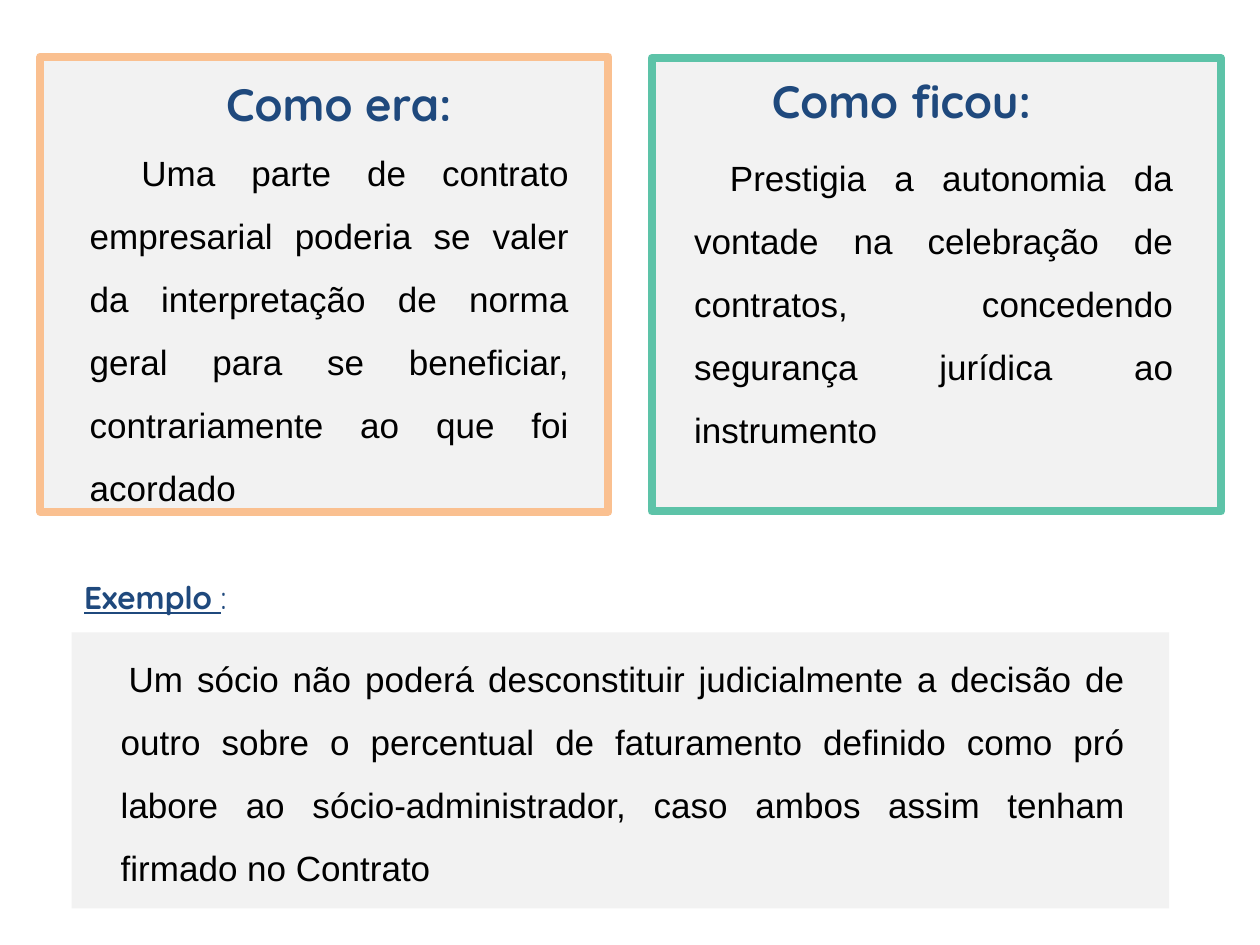
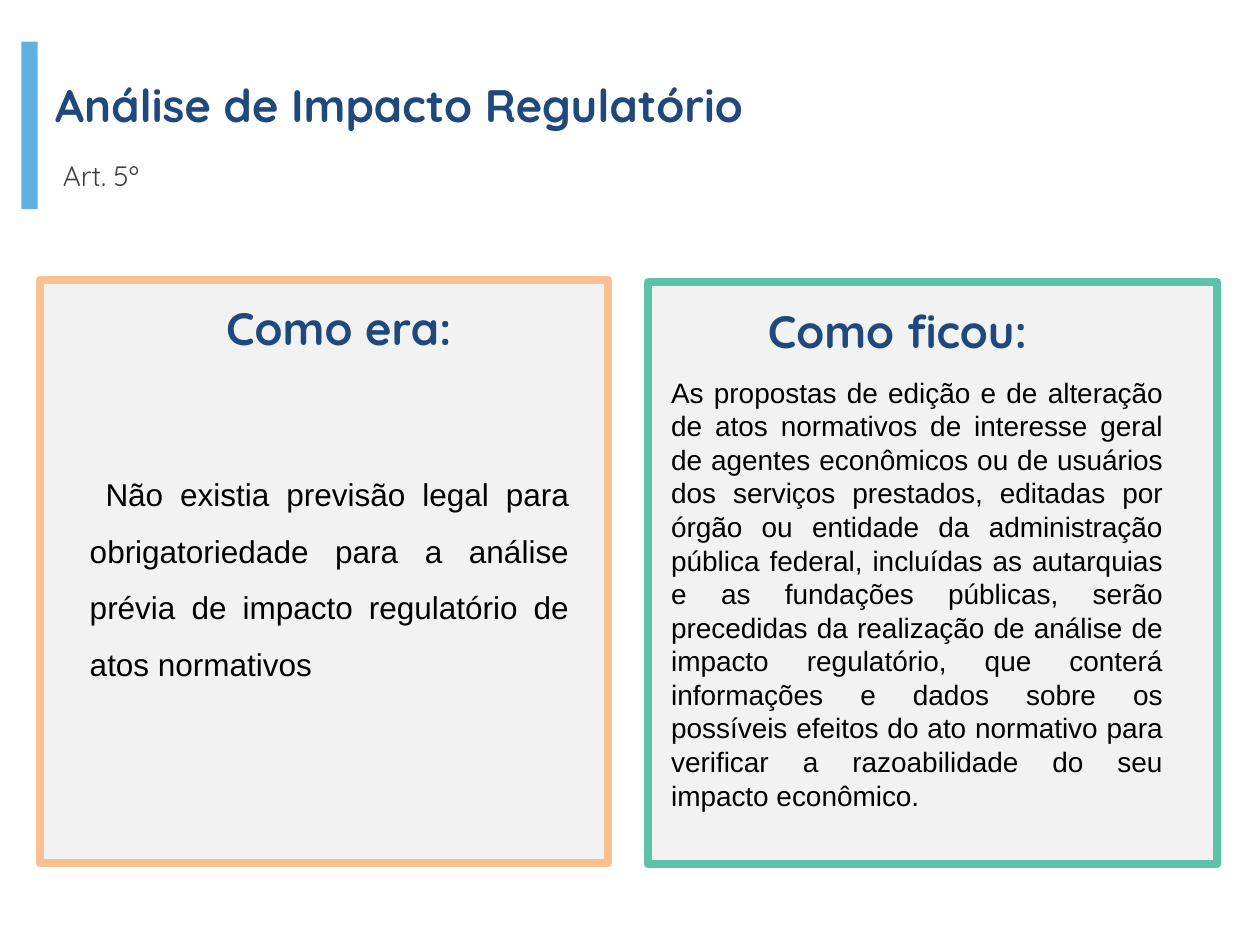
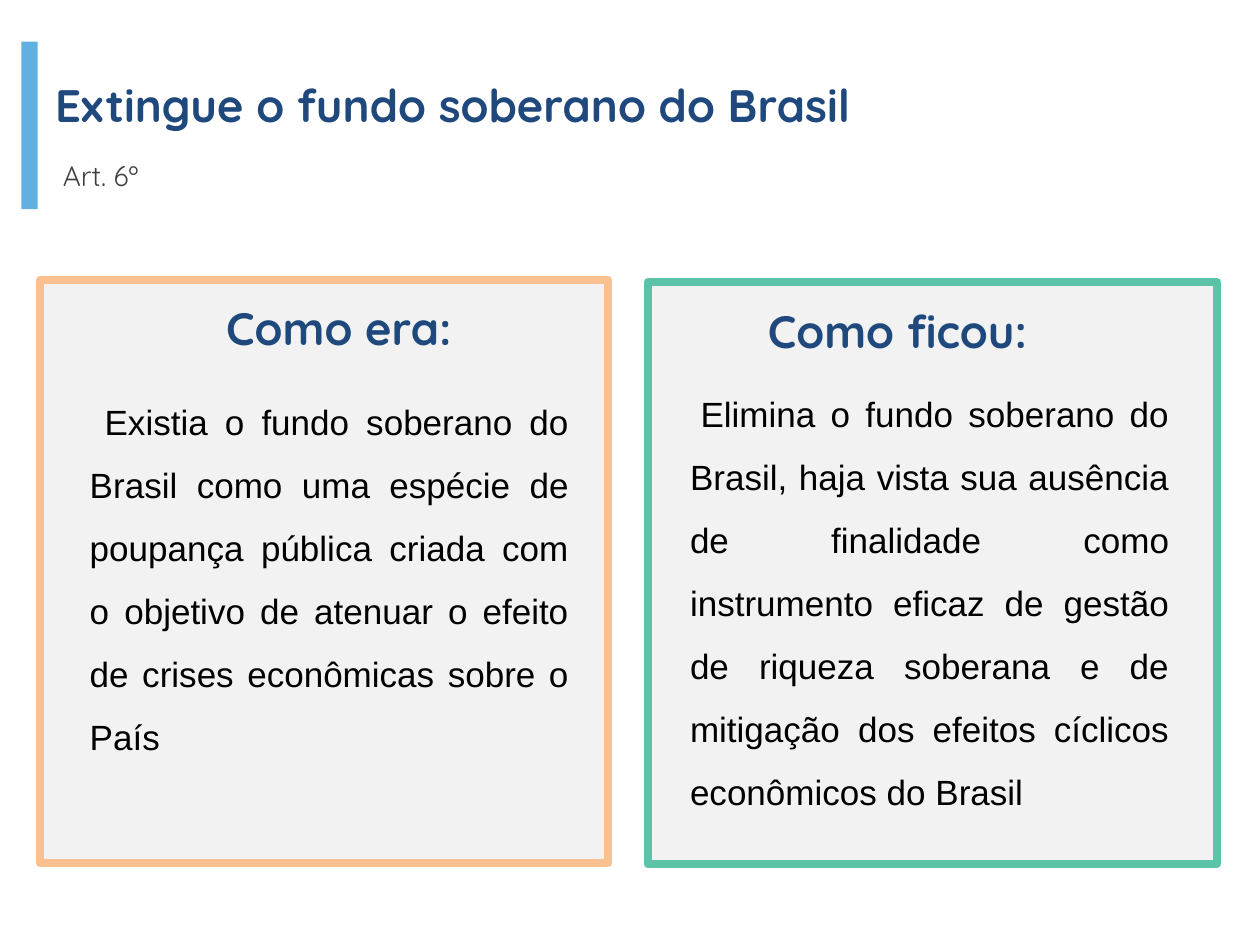
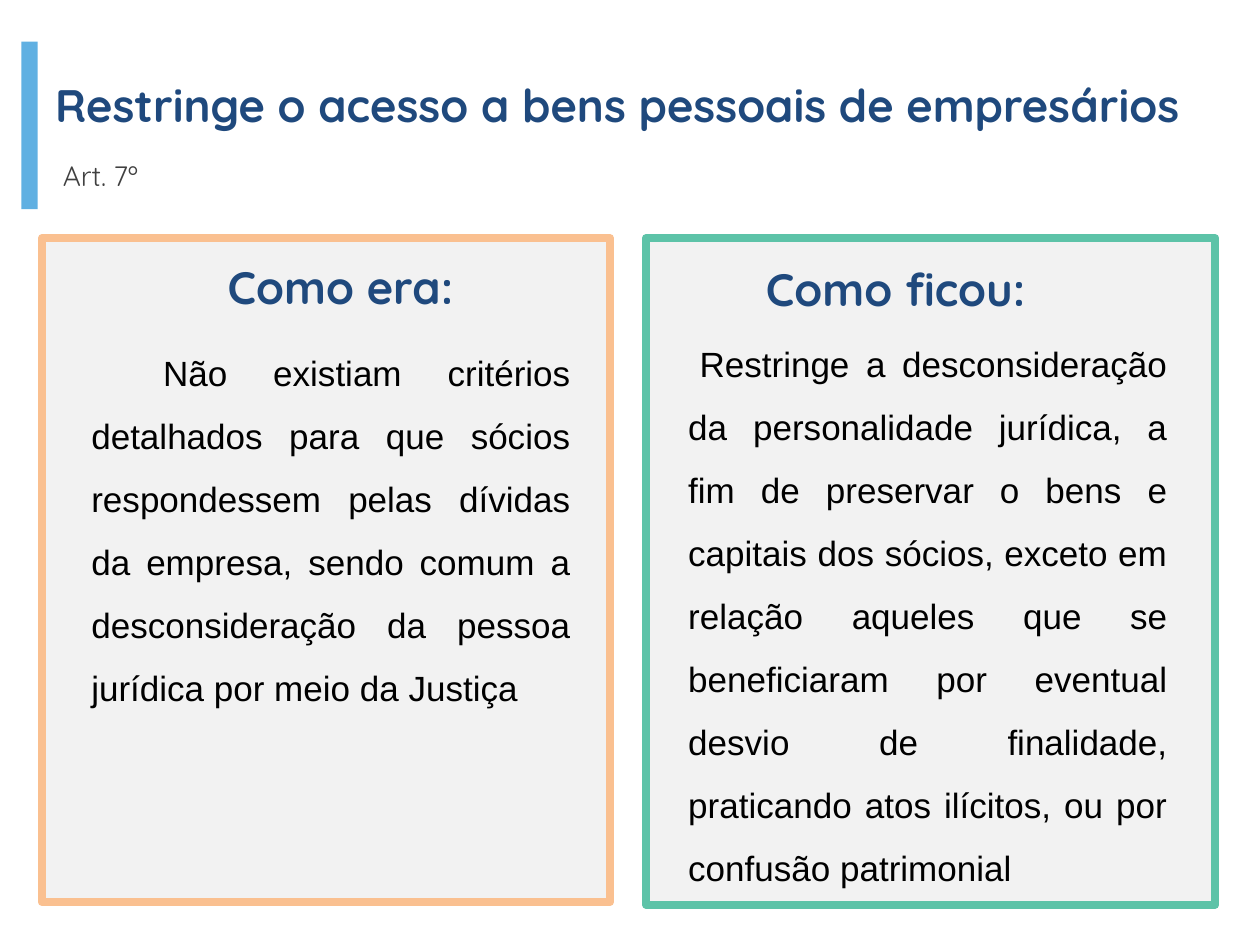
import dataclasses

import pptx
import pptx.dml.color
import pptx.enum.shapes
import pptx.enum.text
import pptx.util

Pt = pptx.util.Pt
ALIGN = pptx.enum.text.PP_ALIGN
ANCHOR = pptx.enum.text.MSO_ANCHOR


@dataclasses.dataclass(frozen=True)
class Theme:
    """Colours, fonts, type sizes and paragraph measures of the deck."""
    navy: str = "1F497D"
    grey: str = "404040"
    black: str = "000000"
    panel: str = "F2F2F2"
    before: str = "FAC090"
    after: str = "5DC3A8"
    bar: str = "60B0E2"
    display: str = "Quicksand"
    text: str = "Arial"
    heading_size: float = 26
    body_size: float = 20
    label_size: float = 18
    note_size: float = 16
    frame_width: float = 4.5
    margin: float = 10.8
    leading: float = 1.5
    gap: float = 6


@dataclasses.dataclass(frozen=True)
class Box:
    """A rectangle in points."""
    left: float
    top: float
    width: float
    height: float

    def inner(self, left, top, width, height):
        """Return a box placed relative to this one."""
        return Box(self.left + left, self.top + top, width, height)

    def lengths(self):
        """Return left, top, width and height as lengths."""
        return [Pt(value) for value in dataclasses.astuple(self)]


@dataclasses.dataclass(frozen=True)
class Body:
    """Body wording with its place inside a panel and its setting."""
    text: str
    top: float
    height: float
    first_line: float = 0
    size: float = 20
    width: float = 298.8
    spaced: bool = True


@dataclasses.dataclass(frozen=True)
class Side:
    """Heading, accent and offsets of one side of the comparison."""
    heading: str
    accent: str
    heading_left: float
    body_left: float


THEME = Theme()
BEFORE = Side("Como era:", THEME.before, 34.2, 10.4)
AFTER = Side("Como ficou:", THEME.after, 6.3, 6.3)


def colour(value):
    """Return a colour from its hexadecimal value."""
    return pptx.dml.color.RGBColor.from_string(value)


def add_block(page, box, fill, line=None):
    """Draw a filled rectangle with an optional frame."""
    shape = page.shapes.add_shape(
        pptx.enum.shapes.MSO_SHAPE.RECTANGLE, *box.lengths())
    shape.shadow.inherit = False
    shape.fill.solid()
    shape.fill.fore_color.rgb = colour(fill)
    if line:
        shape.line.color.rgb = colour(line)
        shape.line.width = Pt(THEME.frame_width)
    else:
        shape.line.fill.background()


def add_text(page, box, text, size, font=THEME.display, shade=THEME.navy,
             bold=False, align=ALIGN.LEFT, anchor=ANCHOR.MIDDLE):
    """Add a wrapped one-paragraph text box and return its paragraph."""
    frame = page.shapes.add_textbox(*box.lengths()).text_frame
    frame.word_wrap = True
    frame.auto_size = pptx.enum.text.MSO_AUTO_SIZE.SHAPE_TO_FIT_TEXT
    frame.vertical_anchor = anchor
    para = frame.paragraphs[0]
    para.text = text
    para.alignment = align
    para.font.name = font
    para.font.size = Pt(size)
    para.font.bold = bold
    para.font.color.rgb = colour(shade)
    return para


def space_out(para, first_line):
    """Give a paragraph the wide leading, left margin and first-line indent."""
    para.line_spacing = THEME.leading
    para.space_after = Pt(THEME.gap)
    properties = para._p.get_or_add_pPr()
    properties.set("marL", str(Pt(THEME.margin)))
    properties.set("indent", str(Pt(first_line)))


def add_body(page, box, body):
    """Add justified body wording."""
    para = add_text(page, box, body.text, body.size, THEME.text, THEME.black,
                    align=ALIGN.JUSTIFY)
    if body.spaced:
        space_out(para, body.first_line)


def add_panel(page, box, side, heading_top, body):
    """Draw one side of the comparison."""
    add_block(page, box, THEME.panel, side.accent)
    heading = add_text(
        page, box.inner(side.heading_left, heading_top, 273, 49),
        side.heading, THEME.heading_size, bold=True, align=ALIGN.CENTER)
    space_out(heading, -THEME.margin)
    add_body(page, box.inner(side.body_left, body.top, body.width, body.height),
             body)


def add_title(page, box, title, article):
    """Draw the title with its article and side bar."""
    add_text(page, box.inner(12.2, 16.6, 680.4, 38.9), title,
             THEME.heading_size, bold=True)
    add_text(page, box.inner(16.6, 63.4, 517.7, 26.6), article,
             THEME.note_size, shade=THEME.grey, anchor=ANCHOR.TOP)
    add_block(page, box.inner(0, 0, 9.4, box.height), THEME.bar)


def add_example(page, box, body):
    """Draw the labelled example."""
    add_block(page, box, THEME.panel)
    label = add_text(page, box.inner(0, -34.6, 628.6, 28.8), "Exemplo ",
                     THEME.label_size, align=ALIGN.JUSTIFY, anchor=ANCHOR.TOP)
    label.space_after = Pt(THEME.gap)
    label.runs[0].font.bold = True
    label.runs[0].font.underline = True
    label.add_run().text = ":"
    add_body(page, box.inner(10.1, body.top, body.width, body.height), body)


def add_page(deck):
    """Add a blank page."""
    return deck.slides.add_slide(deck.slide_layouts[6])


def add_article_page(deck, title, article, panels):
    """Add a titled page with its two panels."""
    page = add_page(deck)
    add_title(page, Box(12.2, 23.8, 692.6, 95.8), title, article)
    for panel in panels:
        add_panel(page, *panel)


def main():
    """Build and save the deck."""
    deck = pptx.Presentation()
    deck.slide_width, deck.slide_height = Pt(720), Pt(540)

    page = add_page(deck)
    add_panel(page, Box(23, 32.4, 324.7, 260), BEFORE, -5.8, Body(
        "Uma parte de contrato empresarial poderia se valer da interpretação "
        "de norma geral para se beneficiar, contrariamente ao que foi acordado",
        37.4, 225.4, 29.5))
    add_panel(page, Box(372.4, 33.1, 325.4, 259.2), AFTER, -7.9, Body(
        "Prestigia a autonomia da vontade na celebração de contratos, "
        "concedendo segurança jurídica ao instrumento",
        39.6, 189.4, 20.5))
    add_example(page, Box(41, 361.4, 627.1, 157.7), Body(
        "Um sócio não poderá desconstituir judicialmente a decisão de outro "
        "sobre o percentual de faturamento definido como pró labore ao "
        "sócio-administrador, caso ambos assim tenham firmado no Contrato",
        -2.2, 152.6, 4.5, width=599))

    left, right = Box(23, 159.8, 324.7, 333.4), Box(370.1, 161.3, 325.4, 332.6)
    add_article_page(deck, "Análise de Impacto Regulatório", "Art. 5º", [
        (left, BEFORE, -5, Body(
            "Não existia previsão legal para obrigatoriedade para a análise "
            "prévia de impacto regulatório de atos normativos",
            95, 141.1, 9, THEME.label_size)),
        (right, AFTER, -5, Body(
            "As propostas de edição e de alteração de atos normativos de "
            "interesse geral de agentes econômicos ou de usuários dos serviços "
            "prestados, editadas por órgão ou entidade da administração pública "
            "federal, incluídas as autarquias e as fundações públicas, serão "
            "precedidas da realização de análise de impacto regulatório, que "
            "conterá informações e dados sobre os possíveis efeitos do ato "
            "normativo para verificar a razoabilidade do seu impacto econômico.",
            48.2, 259.2, size=THEME.note_size, width=295.2, spaced=False)),
    ])
    add_article_page(deck, "Extingue o fundo soberano do Brasil", "Art. 6º", [
        (left, BEFORE, -5, Body(
            "Existia o fundo soberano do Brasil como uma espécie de poupança "
            "pública criada com o objetivo de atenuar o efeito de crises "
            "econômicas sobre o País",
            52.6, 225.4, 8.5)),
        (right, AFTER, -5, Body(
            "Elimina o fundo soberano do Brasil, haja vista sua ausência de "
            "finalidade como instrumento eficaz de gestão de riqueza soberana "
            "e de mitigação dos efeitos cíclicos econômicos do Brasil",
            46.1, 262.1, 6)),
    ])
    add_article_page(
        deck, "Restringe o acesso a bens pessoais de empresários", "Art. 7º", [
            (Box(23.9, 136.1, 324.7, 379.4), BEFORE, -5, Body(
                "Não existiam critérios detalhados para que sócios respondessem "
                "pelas dívidas da empresa, sendo comum a desconsideração da "
                "pessoa jurídica por meio da Justiça",
                48.2, 225.4, 41)),
            (Box(369.1, 136.1, 325.4, 380.9), AFTER, -3.6, Body(
                "Restringe a desconsideração da personalidade jurídica, a fim "
                "de preservar o bens e capitais dos sócios, exceto em relação "
                "aqueles que se beneficiaram por eventual desvio de finalidade, "
                "praticando atos ilícitos, ou por confusão patrimonial",
                42.5, 334.1, 6.5)),
        ])
    deck.save("out.pptx")


if __name__ == "__main__":
    main()
